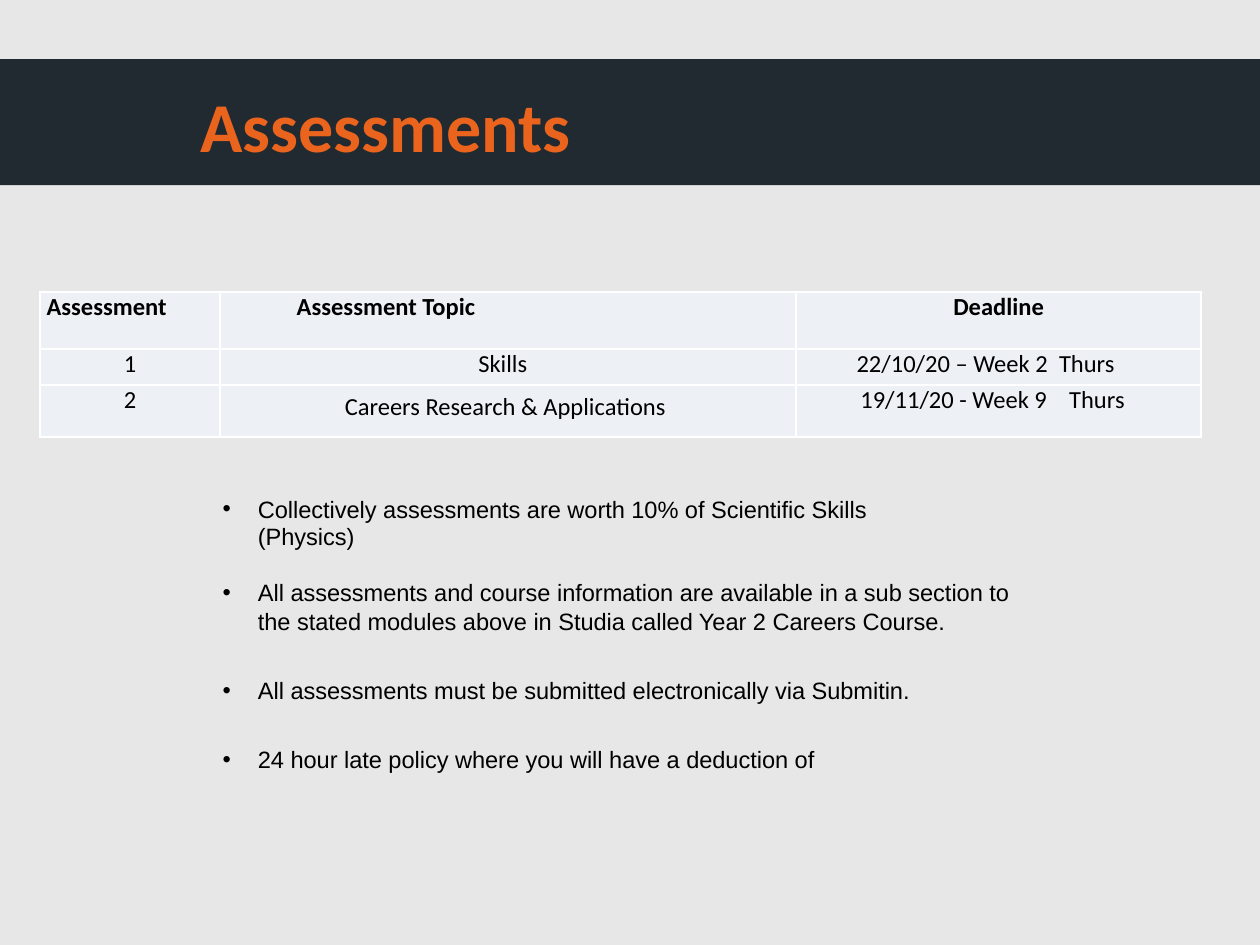
from lxml import etree
from pptx import Presentation
from pptx.dml.color import RGBColor
from pptx.enum import shapes, text
from pptx.oxml.ns import qn
from pptx.util import Pt

BACKGROUND = RGBColor(0xE7, 0xE7, 0xE7)
BAND = RGBColor(0x20, 0x2A, 0x30)
ORANGE = RGBColor(0xEB, 0x64, 0x1E)
BLACK = RGBColor(0, 0, 0)
CELL = RGBColor(0xED, 0xF1, 0xF6)
LEFT, CENTER = text.PP_ALIGN.LEFT, text.PP_ALIGN.CENTER


def format_font(font, **values):
    for name, value in values.items():
        if name == "color":
            font.color.rgb = value
        else:
            setattr(font, name, value)


def clear_margins(holder):
    """Remove the inner margins of a text frame or a table cell."""
    for side in ("left", "top", "right", "bottom"):
        setattr(holder, f"margin_{side}", 0)


deck = Presentation()
deck.slide_width, deck.slide_height = Pt(720), Pt(540)
slide = deck.slides.add_slide(deck.slide_layouts[5])
slide.background.fill.solid()
slide.background.fill.fore_color.rgb = BACKGROUND

# Title on a dark band
title = slide.shapes.title
band = slide.shapes.add_shape(shapes.MSO_SHAPE.RECTANGLE, 0, Pt(33.8), Pt(720), Pt(72))
band.shadow.inherit = False
band.fill.solid()
band.fill.fore_color.rgb = BAND
band.line.fill.background()
title.element.addprevious(band.element)

title.left, title.top, title.width, title.height = Pt(114.5), Pt(46.8), Pt(409), Pt(48.2)
title.text = "Assessments"
heading = title.text_frame
clear_margins(heading)
heading.auto_size = text.MSO_AUTO_SIZE.NONE
heading.vertical_anchor = text.MSO_ANCHOR.MIDDLE
heading.paragraphs[0].alignment = LEFT
format_font(heading.paragraphs[0].runs[0].font,
            name="Calibri", size=Pt(40), bold=True, color=ORANGE)

# Assessment table: text, alignment, left margin, right margin
rows = [
    [("Assessment", LEFT, 3.6, 0), ("Assessment Topic", LEFT, 44, 0), ("Deadline", CENTER, 0, 0)],
    [("1", CENTER, 0, 0), ("Skills", CENTER, 0, 6), ("22/10/20 – Week 2\tThurs", LEFT, 34.5, 0)],
    [("2", CENTER, 0, 0), ("Careers Research & Applications", CENTER, 0, 3),
     ("19/11/20 - Week 9\tThurs", LEFT, 36.7, 0)],
]
column_widths = [102.6, 329.4, 231.4]
row_heights = [32.4, 20.6, 29.9]
day_tabs = [None, 115.7, 119.3]

schedule = slide.shapes.add_table(
    len(rows), len(column_widths), Pt(23), Pt(167),
    Pt(sum(column_widths)), Pt(sum(row_heights))).table
schedule.first_row = schedule.horz_banding = False
for column, width in zip(schedule.columns, column_widths):
    column.width = Pt(width)
for row, height in zip(schedule.rows, row_heights):
    row.height = Pt(height)

for r, entries in enumerate(rows):
    for c, (wording, alignment, left, right) in enumerate(entries):
        cell = schedule.cell(r, c)
        clear_margins(cell)
        cell.margin_left, cell.margin_right = Pt(left), Pt(right)
        paragraph = cell.text_frame.paragraphs[0]
        paragraph.alignment = alignment
        run = paragraph.add_run()
        run.text = wording
        format_font(run.font, name="Calibri", size=Pt(14), bold=r == 0, color=BLACK)
        if "\t" in wording:
            tabs = etree.SubElement(paragraph._p.get_or_add_pPr(), qn("a:tabLst"))
            etree.SubElement(tabs, qn("a:tab"), pos=str(Pt(day_tabs[r])), algn="l")
        properties = cell._tc.get_or_add_tcPr()
        for edge in ("a:lnL", "a:lnR", "a:lnT", "a:lnB"):
            border = etree.SubElement(properties, qn(edge), w=str(Pt(1)))
            paint = etree.SubElement(border, qn("a:solidFill"))
            etree.SubElement(paint, qn("a:srgbClr"), val="FFFFFF")
        cell.fill.solid()
        cell.fill.fore_color.rgb = CELL
schedule.cell(2, 1).text_frame.paragraphs[0].line_spacing = Pt(21)

# Rules: text, space before, line spacing, right indent
rules = [
    ("Collectively assessments are worth 10% of Scientific Skills (Physics)", 0, 15.8, 72),
    ("All assessments and course information are available in a sub section to "
     "the stated modules above in Studia called Year 2 Careers Course.", 15.4, 16.6, 0),
    ("All assessments must be submitted electronically via Submitin.", 22.8, 16.6, 0),
    ("24 hour late policy where you will have a deduction of", 22.8, 16.6, 0),
]
notes = slide.shapes.add_textbox(Pt(126.7), Pt(283), Pt(453.6), Pt(160.6)).text_frame
clear_margins(notes)
notes.word_wrap = True
for i, (wording, before, spacing, right) in enumerate(rules):
    paragraph = notes.add_paragraph() if i else notes.paragraphs[0]
    paragraph.space_before, paragraph.line_spacing = Pt(before), Pt(spacing)
    run = paragraph.add_run()
    run.text = wording
    format_font(run.font, name="Arial", size=Pt(13.5), color=BLACK)
    properties = paragraph._p.get_or_add_pPr()
    for name, value in {"marL": 20.7, "indent": -20.2, "marR": right}.items():
        properties.set(name, str(Pt(value)))
    etree.SubElement(properties, qn("a:buFont"), typeface="Arial")
    etree.SubElement(properties, qn("a:buChar"), char="•")

deck.save("out.pptx")
